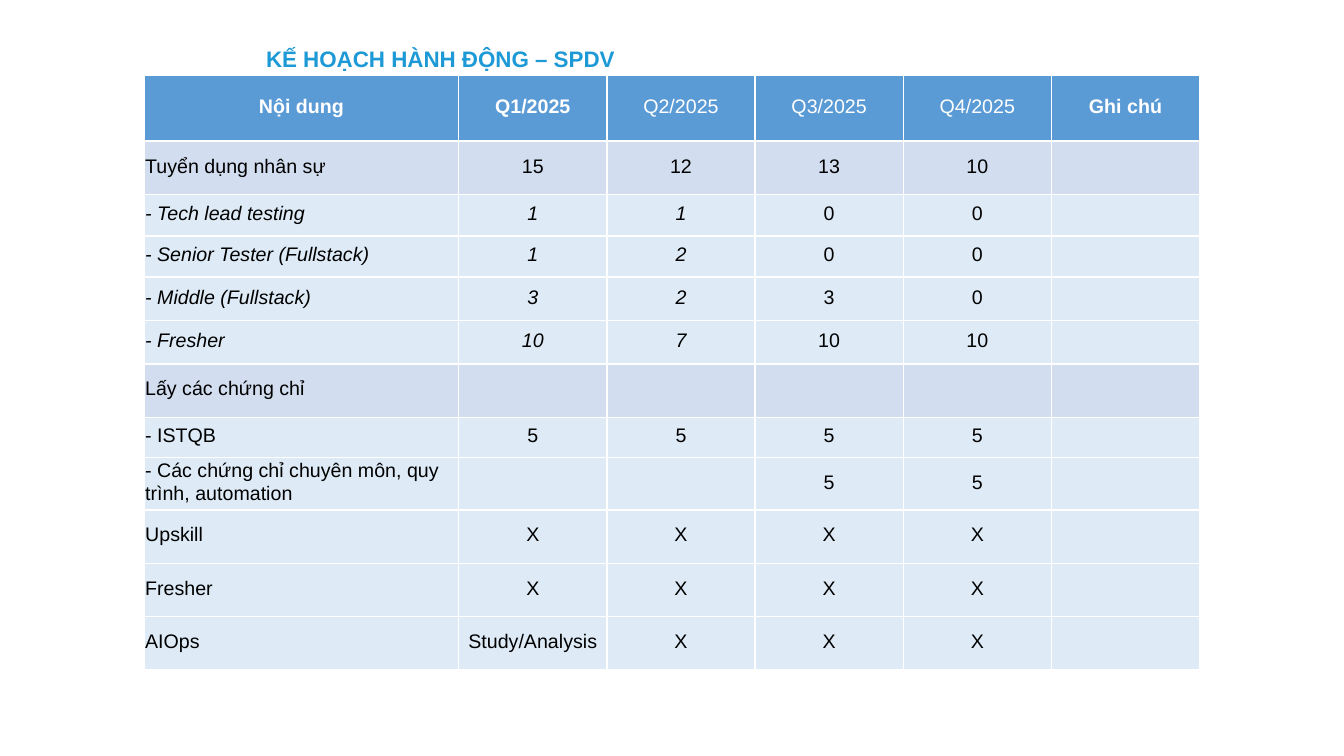
from lxml.etree import SubElement
from pptx import Presentation
from pptx.dml.color import RGBColor
from pptx.enum.text import MSO_ANCHOR, PP_ALIGN
from pptx.oxml.ns import qn
from pptx.util import Emu, Pt

EMU_PER_PX = 9144  # 100 px to the inch
FONT = "Arial"
WHITE, BLACK, TITLE_BLUE = "FFFFFF", "000000", "1D9AD6"
HEADER_FILL, SECTION_FILL, ROW_FILL = "5B9BD5", "D2DEEF", "DEEBF7"

COLUMN_WIDTHS = [312] + [147] * 5
HEADER = ["Nội dung", "Q1/2025", "Q2/2025", "Q3/2025", "Q4/2025", "Ghi chú"]
BOLD_HEADERS = {"Nội dung", "Q1/2025", "Ghi chú"}

# Row height, fill, number of leading italic cells, label, values by quarter
PLAN_ROWS = [
    (53, SECTION_FILL, 0, "Tuyển dụng nhân sự", ["15", "12", "13", "10"]),
    (41, ROW_FILL, 3, "- Tech lead testing", ["1", "1", "0", "0"]),
    (41, ROW_FILL, 3, "- Senior Tester (Fullstack)", ["1", "2", "0", "0"]),
    (43, ROW_FILL, 3, "- Middle (Fullstack)", ["3", "2", "3", "0"]),
    (43, ROW_FILL, 3, "- Fresher", ["10", "7", "10", "10"]),
    (53, SECTION_FILL, 0, "Lấy các chứng chỉ", [""] * 4),
    (40, ROW_FILL, 0, "- ISTQB", ["5"] * 4),
    (50, ROW_FILL, 0, "- Các chứng chỉ chuyên môn, quy trình, automation", ["", "", "5", "5"]),
    (53, ROW_FILL, 0, "Upskill", ["X"] * 4),
    (53, ROW_FILL, 0, "Fresher", ["X"] * 4),
    (53, ROW_FILL, 0, "AIOps", ["Study/Analysis", "X", "X", "X"]),
]


def px(length):
    return Emu(length * EMU_PER_PX)


def color(hex_string):
    return RGBColor.from_string(hex_string)


def format_runs(paragraph, size, font_color, bold=False, italic=False):
    for run in paragraph.runs:
        run.font.name = FONT
        run.font.size = Pt(size)
        run.font.color.rgb = color(font_color)
        run.font.bold = bold
        run.font.italic = italic


def add_borders(cell):
    properties = cell._tc.get_or_add_tcPr()
    for side in ("a:lnL", "a:lnR", "a:lnT", "a:lnB"):
        line = SubElement(properties, qn(side), w=str(Pt(1.2)))
        fill = SubElement(line, qn("a:solidFill"))
        SubElement(fill, qn("a:srgbClr"), val=WHITE)


def fill_cell(cell, text, fill, font_color, alignment, bold=False, italic=False):
    add_borders(cell)
    cell.fill.solid()
    cell.fill.fore_color.rgb = color(fill)
    cell.vertical_anchor = MSO_ANCHOR.MIDDLE
    cell.margin_left = cell.margin_top = cell.margin_right = px(1)
    cell.margin_bottom = px(5)
    paragraph = cell.text_frame.paragraphs[0]
    paragraph.text = text
    paragraph.alignment = alignment
    paragraph.line_spacing = Pt(16.5)
    format_runs(paragraph, 14, font_color, bold, italic)


def add_title(slide, left, top, width, height):
    text_frame = slide.shapes.add_textbox(px(left), px(top), px(width), px(height)).text_frame
    text_frame.word_wrap = True
    text_frame.vertical_anchor = MSO_ANCHOR.MIDDLE
    text_frame.text = "KẾ HOẠCH HÀNH ĐỘNG – SPDV"
    format_runs(text_frame.paragraphs[0], 16, TITLE_BLUE, bold=True)


def add_plan_table(slide, left, top):
    heights = [65] + [row[0] for row in PLAN_ROWS]
    table = slide.shapes.add_table(
        len(heights), len(COLUMN_WIDTHS),
        px(left), px(top), px(sum(COLUMN_WIDTHS)), px(sum(heights)),
    ).table
    table.first_row = table.horz_banding = False
    for column, width in zip(table.columns, COLUMN_WIDTHS):
        column.width = px(width)
    for row, height in zip(table.rows, heights):
        row.height = px(height)

    # Header row
    for index, text in enumerate(HEADER):
        fill_cell(table.cell(0, index), text, HEADER_FILL, WHITE,
                  PP_ALIGN.CENTER, bold=text in BOLD_HEADERS)

    # Plan rows, with an empty notes column
    for row_index, (_, fill, italic_cells, label, values) in enumerate(PLAN_ROWS, 1):
        for index, text in enumerate([label, *values, ""]):
            alignment = PP_ALIGN.CENTER if index else PP_ALIGN.LEFT
            fill_cell(table.cell(row_index, index), text, fill, BLACK,
                      alignment, italic=index < italic_cells)


def main():
    presentation = Presentation()
    presentation.slide_width, presentation.slide_height = px(1333), px(750)
    slide = presentation.slides.add_slide(presentation.slide_layouts[6])
    add_plan_table(slide, 143, 75)
    add_title(slide, 254, 35, 1012, 47)
    presentation.save("out.pptx")


if __name__ == "__main__":
    main()
